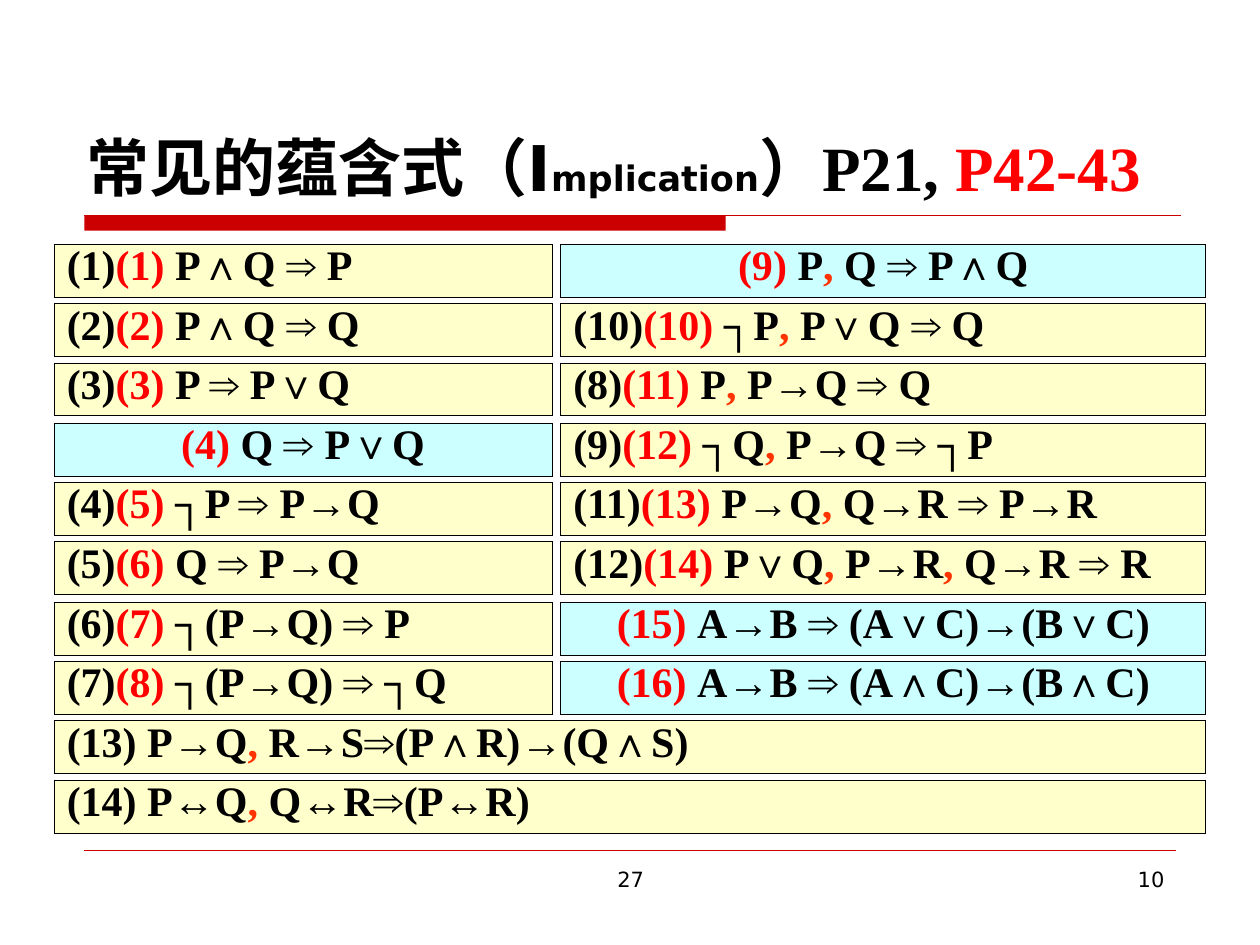
from itertools import groupby

from lxml import etree
from pptx import Presentation
from pptx import util as u
from pptx.dml import color
from pptx.enum import shapes, text
from pptx.oxml import ns

PX = u.Inches(1) // 100
COLORS = {
    "ink": "000000",
    "number": "FF0000",
    "comma": "FF3300",
    "rule": "CC0000",
    "cream": "FFFFCC",
    "aqua": "CCFFFF",
}
SERIF, SANS, SYMBOL = "Times New Roman", "DejaVu Sans", "Arial"
ALIGN = {
    "left": text.PP_ALIGN.LEFT,
    "center": text.PP_ALIGN.CENTER,
    "right": text.PP_ALIGN.RIGHT,
}

LEFT_LAWS = [
    ("(1)", "(1) ", "P∧Q ⇒ P"),
    ("(2)", "(2) ", "P∧Q ⇒ Q"),
    ("(3)", "(3) ", "P ⇒ P∨Q"),
    ("", "(4) ", "Q ⇒ P∨Q"),
    ("(4)", "(5) ", "┐P ⇒ P→Q"),
    ("(5)", "(6) ", "Q ⇒ P→Q"),
    ("(6)", "(7) ", "┐(P→Q) ⇒ P"),
    ("(7)", "(8) ", "┐(P→Q) ⇒ ┐Q"),
]
RIGHT_LAWS = [
    ("", "(9) ", "P, Q ⇒ P∧Q"),
    ("(10)", "(10) ", "┐P, P∨Q ⇒ Q"),
    ("(8)", "(11) ", "P, P→Q ⇒ Q"),
    ("(9)", "(12) ", "┐Q, P→Q ⇒ ┐P"),
    ("(11)", "(13) ", "P→Q, Q→R ⇒ P→R"),
    ("(12)", "(14) ", "P∨Q, P→R, Q→R ⇒ R"),
    ("", "(15) ", "A→B ⇒ (A∨C)→(B∨C)"),
    ("", "(16) ", "A→B ⇒ (A∧C)→(B∧C)"),
]
WIDE_LAWS = [
    ("(13) ", "", "P→Q, R→S⇒(P∧R)→(Q∧S)"),
    ("(14) ", "", "P↔Q, Q↔R⇒(P↔R)"),
]
BLOCKS = [
    (43, 395, 0, LEFT_LAWS),
    (445, 512, 0, RIGHT_LAWS),
    (43, 914, len(LEFT_LAWS), WIDE_LAWS),
]
FIRST_TOP, ROW_STEP, ROW_HEIGHT = 194, 47.25, 42


def rgb(name):
    return color.RGBColor.from_string(COLORS[name])


def px(*lengths):
    return [round(length) * PX for length in lengths]


def glyph_style(glyph):
    if glyph in "→⇒↔":
        return SYMBOL, "ink"
    return SERIF, "comma" if glyph == "," else "ink"


def law_spans(old, new, formula):
    spans = [(old, SERIF, 24, "ink"), (new, SERIF, 24, "number")]
    for (font, tint), glyphs in groupby(formula, glyph_style):
        spans.append(("".join(glyphs), font, 24, tint))
    return [span for span in spans if span[0]]


class SlideBuilder:
    def __init__(self, page):
        self.page = page

    def fill_para(self, para, spans, bold=True, align="left"):
        para.alignment = ALIGN[align]
        for words, font, size, tint in spans:
            span = para.add_run()
            span.text = words
            style = {"name": font, "size": u.Pt(size), "bold": bold}
            for key, value in style.items():
                setattr(span.font, key, value)
            span.font.color.rgb = rgb(tint)

    def text_box(self, left, top, width, height, spans, anchor="TOP", **style):
        box = self.page.shapes.add_textbox(*px(left, top, width, height))
        box.text_frame.word_wrap = True
        box.text_frame.vertical_anchor = text.MSO_ANCHOR[anchor]
        self.fill_para(box.text_frame.paragraphs[0], spans, **style)

    def bar(self, left, top, width, height, tint):
        bar = self.page.shapes.add_shape(
            shapes.MSO_SHAPE.RECTANGLE, *px(left, top, width, height))
        bar.shadow.inherit = False
        bar.fill.solid()
        bar.fill.fore_color.rgb = rgb(tint)
        bar.line.fill.background()

    def rule(self, left, right, top, weight, tint):
        rule = self.page.shapes.add_connector(
            shapes.MSO_CONNECTOR.STRAIGHT, *px(left, top, right, top))
        rule.line.color.rgb = rgb(tint)
        rule.line.width = u.Pt(weight)
        etree.SubElement(rule._element.spPr, ns.qn("a:effectLst"))

    def border(self, cell):
        props = cell._tc.get_or_add_tcPr()
        for side in ("lnL", "lnR", "lnT", "lnB"):
            edge = etree.SubElement(
                props, ns.qn(f"a:{side}"), w=str(u.Pt(0.45)))
            fill = etree.SubElement(edge, ns.qn("a:solidFill"))
            etree.SubElement(fill, ns.qn("a:srgbClr"), val=COLORS["ink"])

    def law(self, left, top, width, old, new, formula):
        table = self.page.shapes.add_table(
            1, 1, *px(left, top, width, ROW_HEIGHT)).table
        table.first_row = table.horz_banding = False
        cell = table.cell(0, 0)
        self.border(cell)
        cell.fill.solid()
        cell.fill.fore_color.rgb = rgb("cream" if old else "aqua")
        para = cell.text_frame.paragraphs[0]
        para.line_spacing = 0.8
        self.fill_para(para, law_spans(old, new, formula),
                       align="left" if old else "center")


def main():
    deck = Presentation()
    deck.slide_width, deck.slide_height = px(1000, 750)
    builder = SlideBuilder(deck.slides.add_slide(deck.slide_layouts[6]))

    builder.bar(67, 171, 509, 12, "rule")
    builder.rule(67, 937, 171, 0.75, "rule")
    builder.rule(67, 933, 675, 0.25, "rule")
    builder.text_box(59, 76, 902, 91, [
        ("常见的蕴含式（I", SANS, 36, "ink"),
        ("mplication", SANS, 20, "ink"),
        ("）", SANS, 36, "ink"),
        ("P21, ", SERIF, 36, "ink"),
        ("P42-43", SERIF, 36, "number"),
    ], anchor="BOTTOM")
    for left, width, words, align in [(342, 317, "27", "center"),
                                      (717, 217, "10", "right")]:
        builder.text_box(left, 683, width, 52, [(words, SANS, 12, "ink")],
                         bold=False, align=align)

    for left, width, first_row, laws in BLOCKS:
        for row, law in enumerate(laws, first_row):
            builder.law(left, FIRST_TOP + row * ROW_STEP, width, *law)

    deck.save("out.pptx")


if __name__ == "__main__":
    main()
